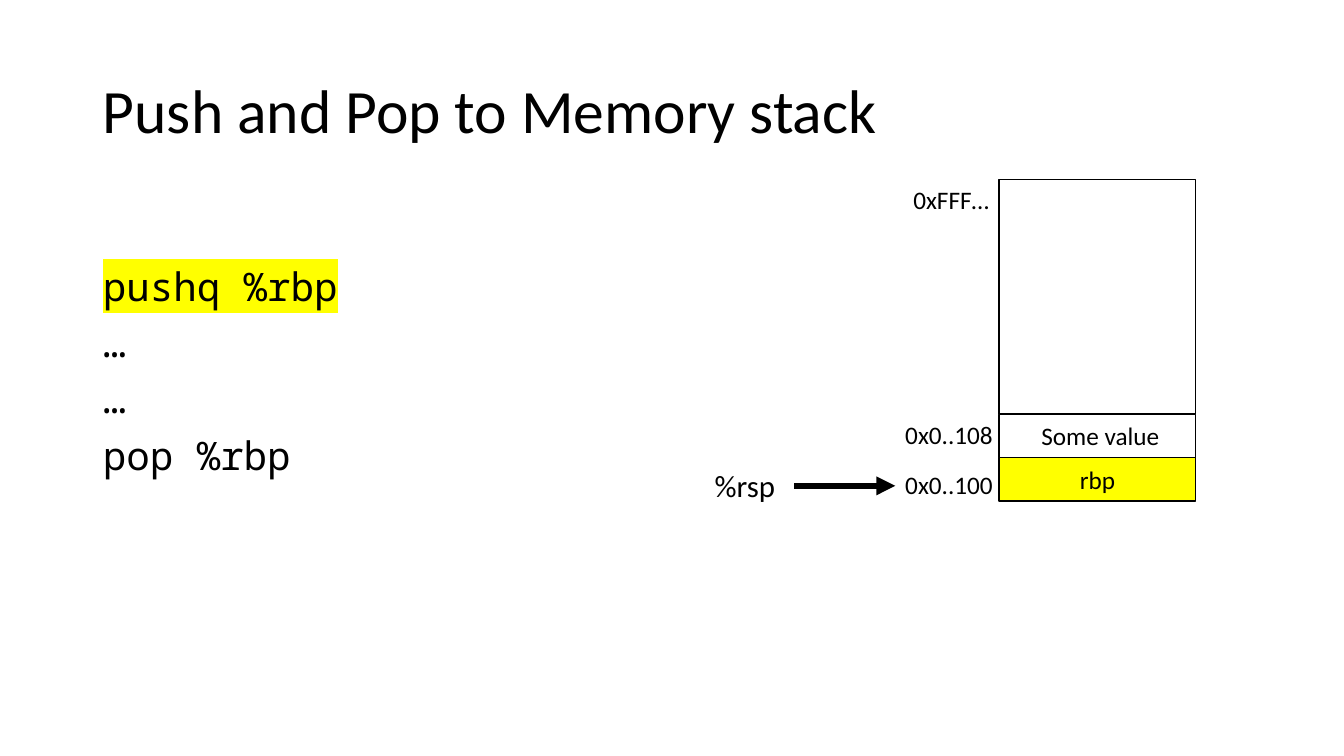
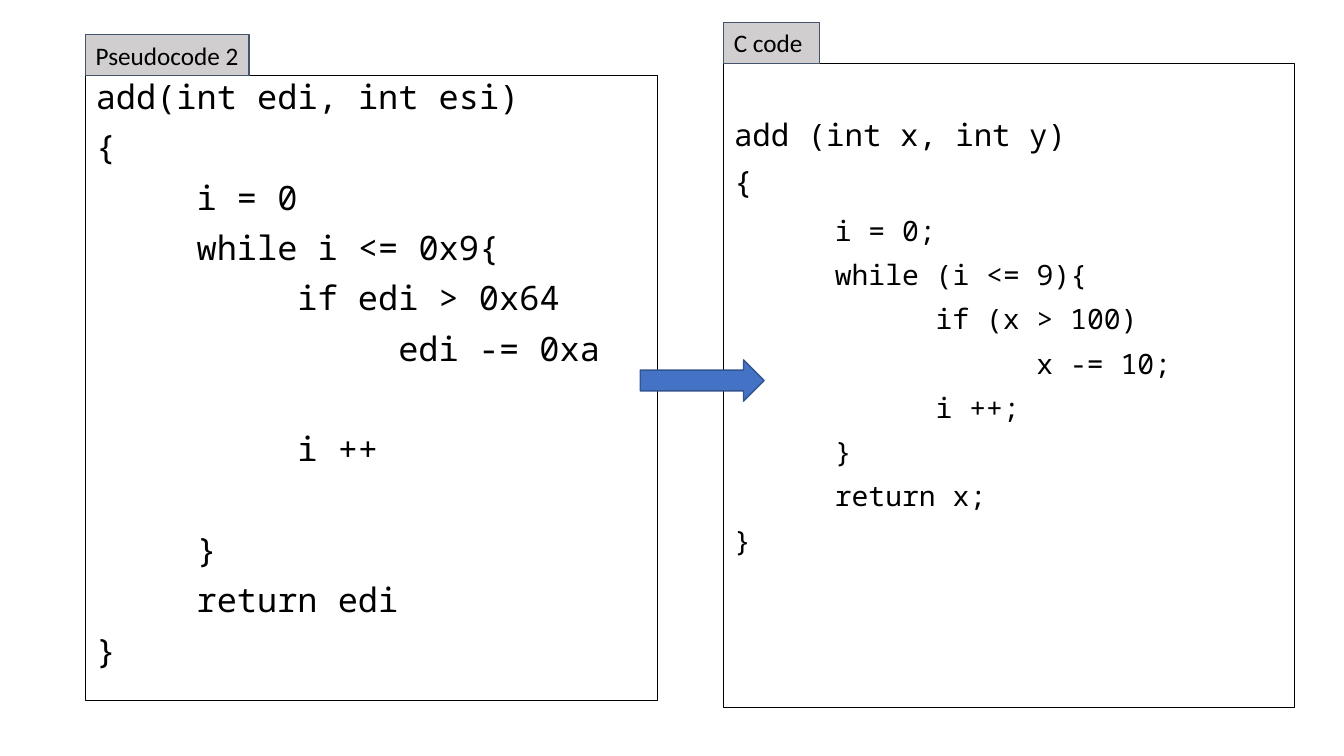
from lxml import etree
from pptx import Presentation
from pptx.dml.color import RGBColor
from pptx.enum.shapes import MSO_CONNECTOR as Connector, MSO_SHAPE as Shape
from pptx.enum.text import MSO_ANCHOR as Anchor, MSO_AUTO_SIZE as AutoSize, PP_ALIGN as Align
from pptx.oxml.ns import qn
from pptx.util import Inches, Pt

COLORS = {
    "black": "000000",
    "white": "FFFFFF",
    "yellow": "FFFF00",
    "tab": "D0CECE",
    "tab_line": "44546A",
    "arrow": "4472C4",
    "arrow_line": "325491",
}
TEXT_FONT = "Calibri"
CODE_FONT = "Noto Sans Mono"
CODE_GAP = 10       # points before each code line
BLANK_LINE = 36     # points that an empty code line adds
TAB_HEIGHT = 0.41
TITLE_AND_CONTENT, TWO_CONTENT = 1, 3

PUSH_POP = ["pushq %rbp", "…", "…", "pop %rbp"]
PSEUDOCODE = [
    "add(int edi, int esi)",
    "{",
    "\ti = 0",
    "\twhile i <= 0x9{",
    "\t\tif edi > 0x64",
    "\t\t\tedi -= 0xa",
    "",
    "\t\ti ++",
    "",
    "\t}",
    "\treturn edi",
    "}",
]
C_CODE = [
    "add (int x, int y)",
    "{",
    "\ti = 0;",
    "\twhile (i <= 9){",
    "\t\tif (x > 100)",
    "\t\t\tx -= 10;",
    "\t\ti ++;",
    "\t}",
    "\treturn x;",
    "}",
]


def color(name):
    return RGBColor.from_string(COLORS[name])


def place(shape, left, top, width, height):
    shape.left, shape.top = Inches(left), Inches(top)
    shape.width, shape.height = Inches(width), Inches(height)


def style_runs(para, size, font=TEXT_FONT):
    for run in para.runs:
        run.font.size = Pt(size)
        run.font.name = font
        run.font.color.rgb = color("black")


def outline(shape, name, width):
    shape.line.color.rgb = color(name)
    shape.line.width = Pt(width)


def set_title(slide, text):
    title = slide.shapes.title
    place(title, 0.92, 0.4, 11.5, 1.45)
    frame = title.text_frame
    frame.text = text
    frame.auto_size = AutoSize.NONE
    frame.vertical_anchor = Anchor.MIDDLE
    para = frame.paragraphs[0]
    para.alignment = Align.LEFT
    para.line_spacing = 0.9
    style_runs(para, 44)


def format_code_line(para):
    """Remove the bullet and set tabs one inch apart."""
    props = para._p.get_or_add_pPr()
    props.set("marL", "0")
    props.set("indent", "0")
    props.set("defTabSz", str(Inches(1)))
    etree.SubElement(props, qn("a:buNone"))


def fill_code(body, lines, size, head_size=None):
    """Write code lines; the first two may have a size of their own."""
    head_size = head_size or size
    frame = body.text_frame
    frame.auto_size = AutoSize.NONE
    frame.word_wrap = True
    frame.vertical_anchor = Anchor.TOP
    frame.text = "\n".join(line for line in lines if line)
    paras = iter(frame.paragraphs)
    gap = 0
    for index, line in enumerate(lines):
        if not line:
            gap += BLANK_LINE
            continue
        para = next(paras)
        format_code_line(para)
        para.line_spacing = 0.9
        para.space_before = Pt(gap)
        style_runs(para, head_size if index < 2 else size, CODE_FONT)
        # A little more room where the size changes
        gap = CODE_GAP + (head_size - size if index == 1 else 0)


def highlight(run, name):
    mark = etree.Element(qn("a:highlight"))
    etree.SubElement(mark, qn("a:srgbClr"), val=COLORS[name])
    run._r.rPr.find(qn("a:solidFill")).addnext(mark)


def add_block(slide, at, fill, line, width=1, kind=Shape.RECTANGLE, text="", align=Align.CENTER):
    block = slide.shapes.add_shape(kind, *map(Inches, at))
    block.shadow.inherit = False
    block.fill.solid()
    block.fill.fore_color.rgb = color(fill)
    outline(block, line, width)
    if text:
        block.text_frame.text = text
        block.text_frame.vertical_anchor = Anchor.MIDDLE
        para = block.text_frame.paragraphs[0]
        para.alignment = align
        style_runs(para, 18)


def add_label(slide, at, text, size=18):
    box = slide.shapes.add_textbox(*map(Inches, at))
    box.text_frame.word_wrap = True
    box.text_frame.text = text
    style_runs(box.text_frame.paragraphs[0], size)


def add_pointer(slide, left, right, y):
    pointer = slide.shapes.add_connector(
        Connector.STRAIGHT, Inches(left), Inches(y), Inches(right), Inches(y))
    outline(pointer, "black", 4.5)
    etree.SubElement(pointer.line._get_or_add_ln(), qn("a:tailEnd"), type="triangle")
    etree.SubElement(pointer._element.spPr, qn("a:effectLst"))


def add_code_panel(slide, body, at, tab_text, tab_width):
    """Outline a code placeholder and set a caption tab on its top edge."""
    left, top = at[:2]
    place(body, *at)
    outline(body, "black", 0.75)
    add_block(slide, (left, top - TAB_HEIGHT, tab_width, TAB_HEIGHT), "tab", "tab_line", 0.75,
              text=tab_text, align=Align.LEFT)


def build_stack_slide(deck):
    slide = deck.slides.add_slide(deck.slide_layouts[TITLE_AND_CONTENT])
    set_title(slide, "Push and Pop to Memory stack")
    body = slide.placeholders[1]
    place(body, 0.92, 2.6, 5.67, 4.16)
    fill_code(body, PUSH_POP, 28)
    highlight(body.text_frame.paragraphs[0].runs[0], "yellow")

    # Memory stack, from high to low addresses
    top = 1.78
    for height, fill, text in (
            (2.33, "white", ""), (0.43, "white", " Some value"), (0.43, "yellow", "rbp")):
        add_block(slide, (9.91, top, 1.95, height), fill, "black", text=text)
        top += height

    # Addresses and stack pointer
    add_label(slide, (8.96, 1.78, 0.96, 0.4), "0xFFF…")
    add_label(slide, (8.88, 4.11, 1.11, 0.4), "0x0..108")
    add_label(slide, (8.88, 4.61, 1.11, 0.4), "0x0..100")
    add_label(slide, (6.99, 4.58, 0.89, 0.47), "%rsp", 22)
    add_pointer(slide, 7.88, 8.88, 4.82)


def build_code_slide(deck):
    slide = deck.slides.add_slide(deck.slide_layouts[TWO_CONTENT])
    title = slide.shapes.title._element
    title.getparent().remove(title)
    pseudocode, c_code = slide.placeholders[1], slide.placeholders[2]
    fill_code(pseudocode, PSEUDOCODE, 24)
    fill_code(c_code, C_CODE, 20, head_size=22)
    c_code.text_frame.margin_top = Inches(0.56)
    add_code_panel(slide, pseudocode, (0.85, 0.75, 5.67, 6.2), "Pseudocode 2", 1.62)
    add_code_panel(slide, c_code, (7.18, 0.63, 5.66, 6.39), "C code", 0.95)
    add_block(slide, (6.35, 3.57, 1.23, 0.41), "arrow", "arrow_line", kind=Shape.RIGHT_ARROW)


def main():
    deck = Presentation()
    deck.slide_width, deck.slide_height = Inches(13.33), Inches(7.5)
    build_stack_slide(deck)
    build_code_slide(deck)
    deck.save("out.pptx")


if __name__ == "__main__":
    main()
